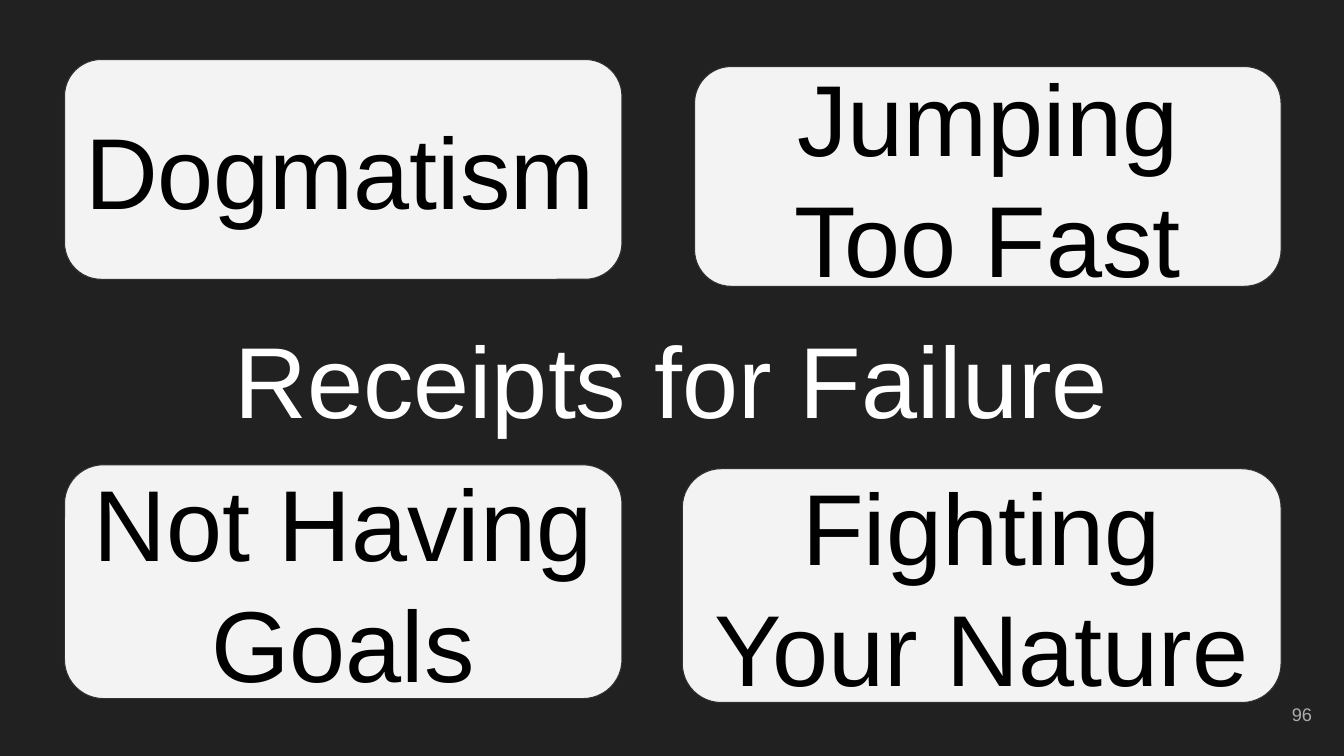
from pptx import Presentation
from pptx.dml.color import RGBColor
from pptx.enum import shapes, text
from pptx.util import Pt

CENTER, LEFT, RIGHT = text.PP_ALIGN.CENTER, text.PP_ALIGN.LEFT, text.PP_ALIGN.RIGHT


def paint(color_format, color):
    """Set a colour from a hex string."""
    color_format.rgb = RGBColor.from_string(color)


def write(holder, words, size, color, align, inset):
    """Put vertically centred Arial text into a shape."""
    frame = holder.text_frame
    frame_format = {
        "word_wrap": True,
        "vertical_anchor": text.MSO_ANCHOR.MIDDLE,
        "margin_left": Pt(inset),
        "margin_top": Pt(inset),
        "margin_right": Pt(inset),
        "margin_bottom": Pt(inset),
    }
    for name, value in frame_format.items():
        setattr(frame, name, value)
    paragraph = frame.paragraphs[0]
    paragraph.alignment = align
    run = paragraph.add_run()
    run.text = words
    for name, value in {"name": "Arial", "size": Pt(size)}.items():
        setattr(run.font, name, value)
    paint(run.font.color, color)


def add_label(slide, place, words, size, color, align):
    """Add text without a background."""
    label = slide.shapes.add_textbox(*map(Pt, place))
    write(label, words, size, color, align, 9.6)


def add_card(slide, place, words, align=CENTER):
    """Add a light rounded card with large text."""
    card = slide.shapes.add_shape(shapes.MSO_SHAPE.ROUNDED_RECTANGLE, *map(Pt, place))
    card.adjustments[0] = 0.167
    card.shadow.inherit = False
    card.fill.solid()
    paint(card.fill.fore_color, "F3F3F3")
    paint(card.line.color, "303030")
    card.line.width = Pt(0.75)
    write(card, words, 72, "000000", align, 7.2)


def main():
    """Build the slide on receipts for failure."""
    deck = Presentation()
    deck.slide_width, deck.slide_height = Pt(960), Pt(540)
    slide = deck.slides.add_slide(deck.slide_layouts[6])
    slide.background.fill.solid()
    paint(slide.background.fill.fore_color, "212121")

    add_label(slide, (32.4, 226, 894.2, 88.6), "Receipts for Failure", 72, "FFFFFF", CENTER)
    add_label(slide, (889.2, 489.6, 57.6, 41), "96", 13, "ADADAD", RIGHT)
    add_card(slide, (46.1, 42.5, 398.2, 157), "Dogmatism", LEFT)
    add_card(slide, (496.1, 47.5, 419, 157), "Jumping Too Fast")
    add_card(slide, (46.1, 332, 398.2, 167), "Not Having Goals")
    add_card(slide, (487.4, 334.8, 427.7, 167), "Fighting Your Nature")
    deck.save("out.pptx")


if __name__ == "__main__":
    main()
